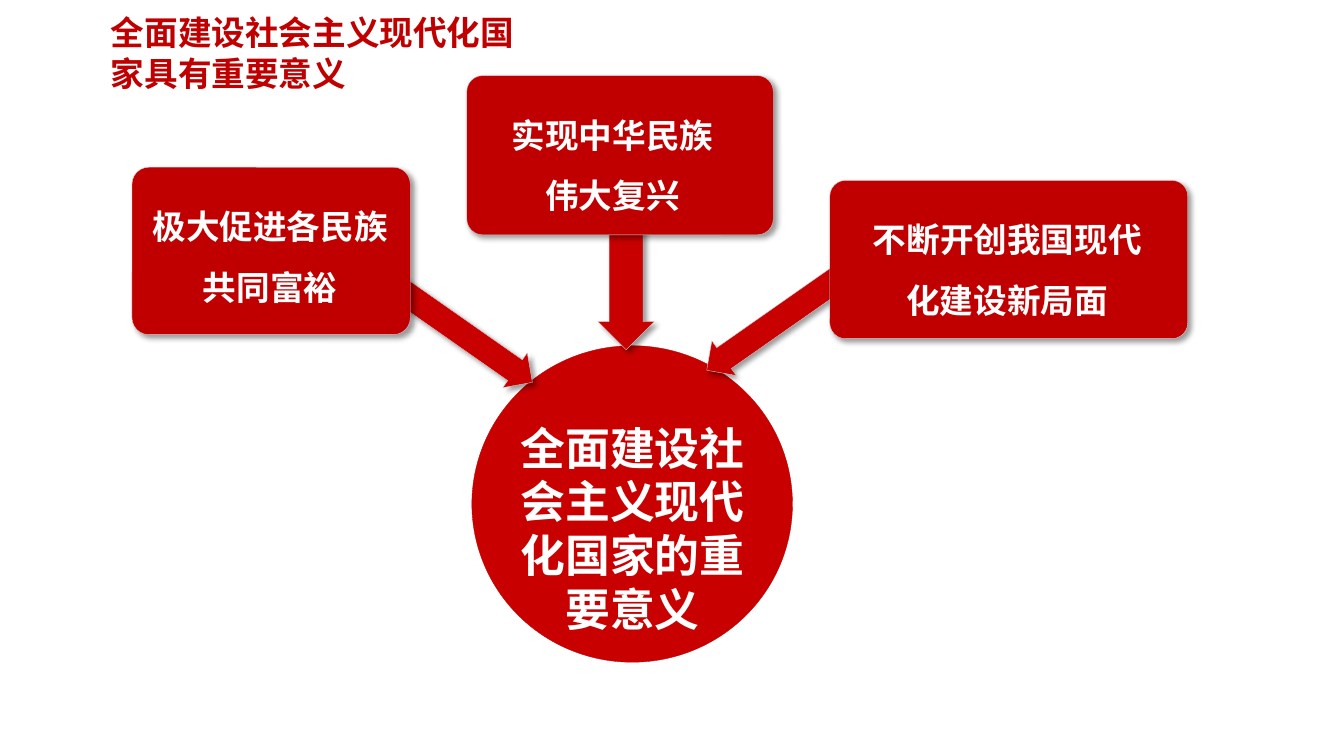
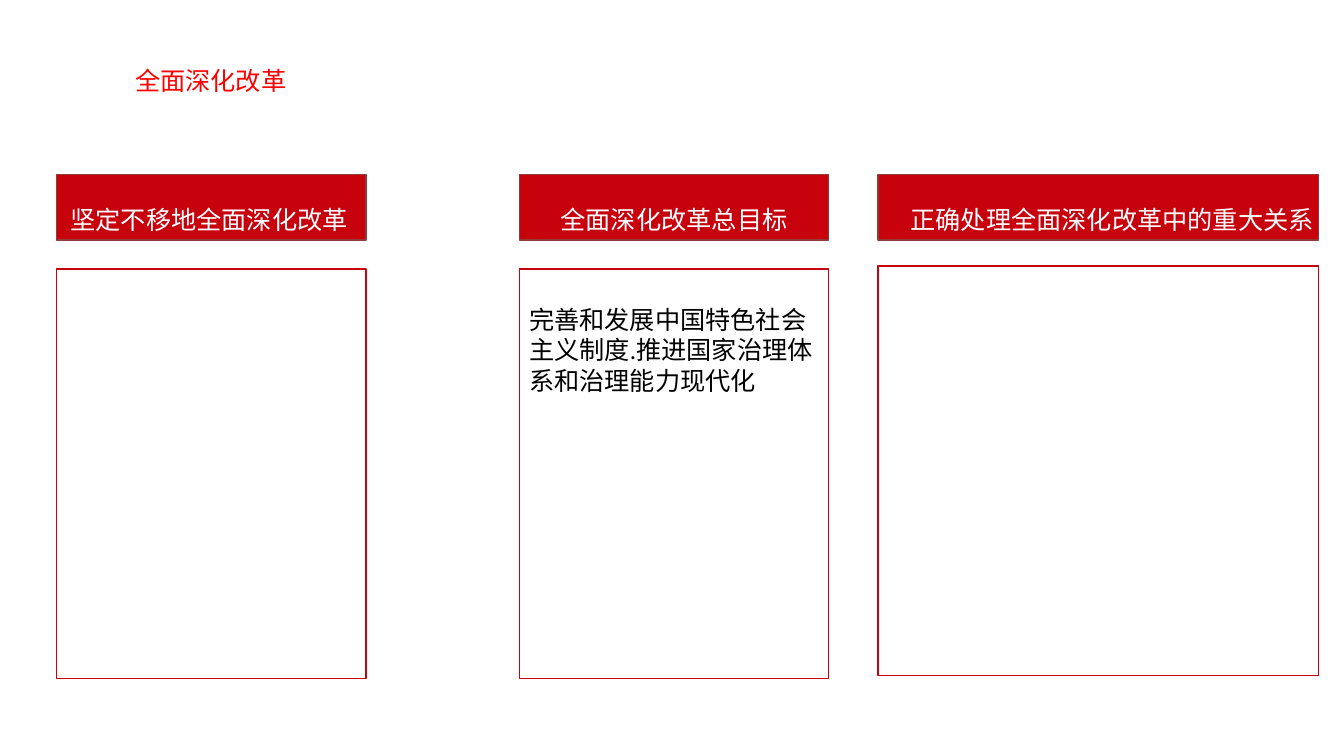
from pptx import Presentation
from pptx.dml.color import RGBColor
from pptx.enum.shapes import MSO_SHAPE
from pptx.enum.text import MSO_ANCHOR, MSO_AUTO_SIZE, PP_ALIGN
from pptx.oxml import parse_xml
from pptx.oxml.ns import nsdecls, qn
from pptx.util import Pt
from lxml.etree import SubElement

PX = 9144  # one hundredth of an inch in EMU
SLIDE_SIZE = (1333, 750)
TITLE_ONLY = 5
COLORS = {
    "white": "FFFFFF", "black": "000000", "title": "C00000", "card": "C00000",
    "arrow": "C80000", "edge": "D7D7D7", "bar": "C7020C", "bar_edge": "8E3B39",
    "red": "FF0000",
}
CJK_FONT = "Noto Sans CJK SC"
BOLD = {"name": CJK_FONT, "size": Pt(24), "bold": True}
BOLD_LARGE = {**BOLD, "size": Pt(32)}
PLAIN = {"name": "Calibri", "size": Pt(18), "bold": False}

MEANING_TITLE = "全面建设社会主义现代化国家具有重要意义"
CIRCLE_BOX = (468, 343, 318, 314)
CIRCLE_TEXT = "全面建设社会主义现代化国家的重要意义"
CIRCLE_TEXT_BOX = (491, 412, 273, 225)
# Arrow box, arrow rotation, card box, card margins (left, top, right, bottom), lines
CARDS = [
    ((378, 311, 165, 42), 215, (131, 166, 276, 166), (0, 0, 2, 9),
     ["极大促进各民族", "共同富裕"]),
    ((559, 257, 124, 56), 270, (463, 75, 304, 158), (0, 0, 15, 0),
     ["实现中华民族", "伟大复兴"]),
    ((686, 299, 165, 42), 325, (823, 179, 355, 157), (0, 0, 3, 0),
     ["不断开创我国现代", "化建设新局面"]),
]

REFORM_TITLE = "全面深化改革"
BAR_TOP, BAR_HEIGHT, PANEL_HEIGHT = 173, 65, 406
# Left, width, panel top, bar margins, heading, panel text
COLUMNS = [
    (56, 307, 267, (10, 5, 14, 5), "坚定不移地全面深化改革", ""),
    (515, 307, 267, (10, 5, 10, 5), "全面深化改革总目标",
     "完善和发展中国特色社会主义制度.推进国家治理体系和治理能力现代化"),
    (871, 437, 264, (27, 5, 0, 5), "正确处理全面深化改革中的重大关系", ""),
]
PANEL_MARGINS = (10, 35, 10, 5)


def rgb(color):
    return RGBColor.from_string(COLORS[color])


def scaled(box):
    return [length * PX for length in box]


def set_all(target, values):
    for name, value in values.items():
        setattr(target, name, value)


def write(shape, lines, font, color, align=PP_ALIGN.CENTER,
          anchor=MSO_ANCHOR.MIDDLE, margins=(10, 5, 10, 5), spacing=1.0):
    frame = shape.text_frame
    left, top, right, bottom = scaled(margins)
    set_all(frame, {
        "word_wrap": True, "auto_size": MSO_AUTO_SIZE.NONE, "vertical_anchor": anchor,
        "margin_left": left, "margin_top": top,
        "margin_right": right, "margin_bottom": bottom,
    })
    frame.text = "\n".join(lines)
    for paragraph in frame.paragraphs:
        set_all(paragraph, {"alignment": align, "line_spacing": spacing})
        for run in paragraph.runs:
            set_all(run.font, font)
            run.font.color.rgb = rgb(color)
            SubElement(run.font._element, qn("a:ea"), typeface=CJK_FONT)


def add_shape(slide, kind, box, fill, line, line_width):
    shape = slide.shapes.add_shape(kind, *scaled(box))
    shape.shadow.inherit = False
    if fill:
        shape.fill.solid()
        shape.fill.fore_color.rgb = rgb(fill)
    else:
        shape.fill.background()
    shape.line.color.rgb = rgb(line)
    shape.line.width = Pt(line_width)
    return shape


def add_raised_shape(slide, kind, box, fill, adjustments):
    """Add a shape with a pale edge and a soft shadow to the lower right."""
    shape = add_shape(slide, kind, box, fill, "edge", 0.25)
    for index, value in enumerate(adjustments):
        shape.adjustments[index] = value
    effects = shape._element.spPr.find(qn("a:effectLst"))
    effects.append(parse_xml(
        f'<a:outerShdw {nsdecls("a")} blurRad="{Pt(4)}" dist="{Pt(3)}" dir="2700000" '
        f'algn="tl" rotWithShape="0"><a:srgbClr val="{COLORS["black"]}">'
        '<a:alpha val="40000"/></a:srgbClr></a:outerShdw>'))
    return shape


def add_titled_slide(presentation, text, box, font, color):
    slide = presentation.slides.add_slide(presentation.slide_layouts[TITLE_ONLY])
    title = slide.shapes.title
    set_all(title, dict(zip(("left", "top", "width", "height"), scaled(box))))
    write(title, [text], font, color, align=PP_ALIGN.LEFT)
    return slide


def build_meaning_slide(presentation):
    slide = add_titled_slide(presentation, MEANING_TITLE, (100, 27, 444, 50), BOLD, "title")
    add_shape(slide, MSO_SHAPE.OVAL, CIRCLE_BOX, "arrow", "card", 0.25)
    for arrow_box, rotation, card_box, margins, lines in CARDS:
        arrow = add_raised_shape(slide, MSO_SHAPE.LEFT_ARROW, arrow_box, "arrow", (0.6, 0.5))
        arrow.rotation = rotation
        card = add_raised_shape(slide, MSO_SHAPE.ROUNDED_RECTANGLE, card_box, "card", (0.1,))
        write(card, lines, BOLD, "white", margins=margins, spacing=1.5)
    label = slide.shapes.add_textbox(*scaled(CIRCLE_TEXT_BOX))
    write(label, [CIRCLE_TEXT], BOLD_LARGE, "white", anchor=MSO_ANCHOR.TOP)


def build_reform_slide(presentation):
    slide = add_titled_slide(presentation, REFORM_TITLE, (124, 60, 200, 40), PLAIN, "red")
    for left, width, panel_top, margins, heading, text in COLUMNS:
        bar = add_shape(slide, MSO_SHAPE.RECTANGLE, (left, BAR_TOP, width, BAR_HEIGHT),
                        "bar", "bar_edge", 1)
        write(bar, [heading], PLAIN, "white", anchor=MSO_ANCHOR.BOTTOM, margins=margins)
        panel = add_shape(slide, MSO_SHAPE.RECTANGLE, (left, panel_top, width, PANEL_HEIGHT),
                          None, "bar", 1)
        if text:
            write(panel, [text], PLAIN, "black", align=PP_ALIGN.LEFT,
                  anchor=MSO_ANCHOR.TOP, margins=PANEL_MARGINS)


def main():
    presentation = Presentation()
    presentation.slide_width, presentation.slide_height = scaled(SLIDE_SIZE)
    build_meaning_slide(presentation)
    build_reform_slide(presentation)
    presentation.save("out.pptx")


if __name__ == "__main__":
    main()
